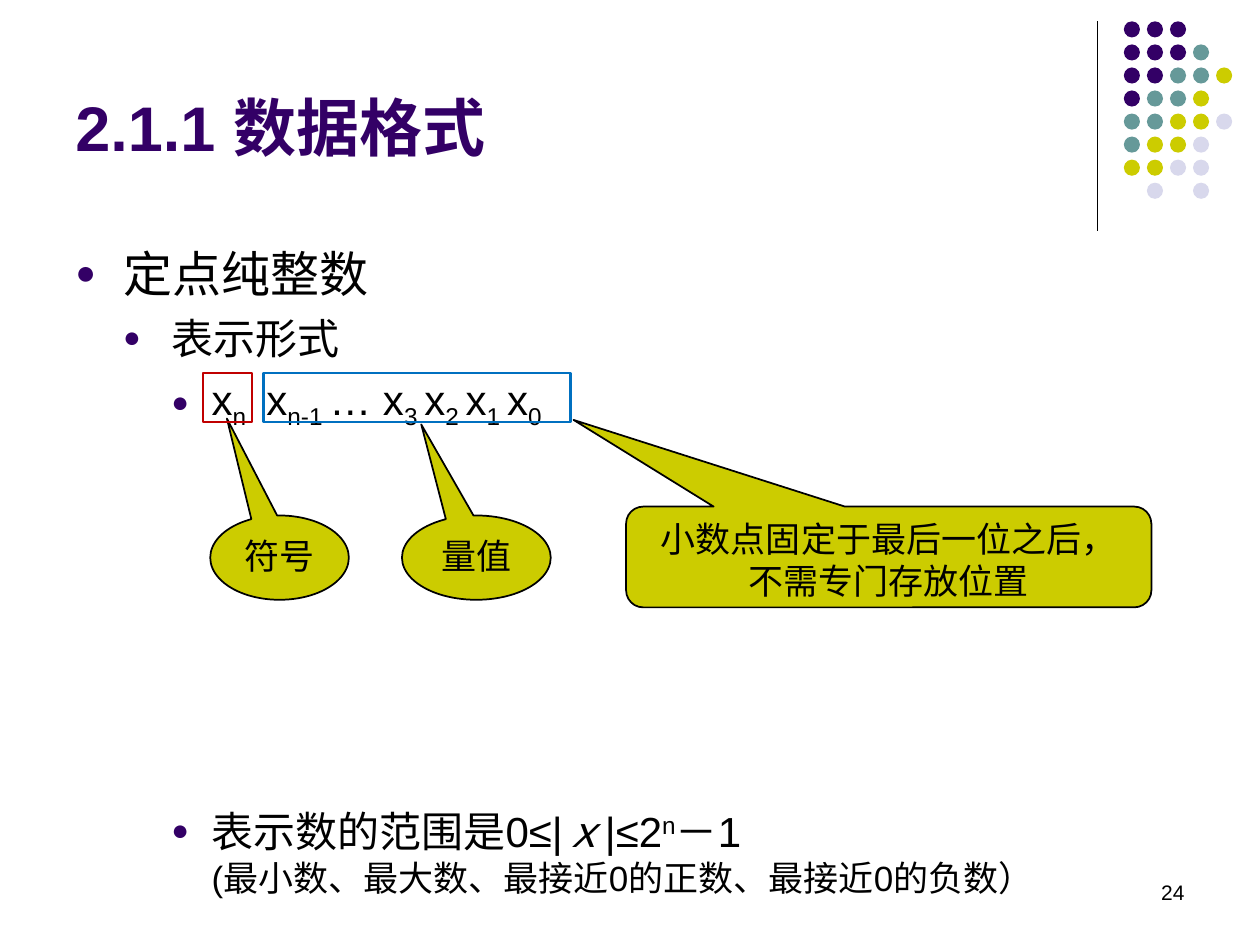
"""Build the slide on the fixed-point pure integer data format."""
from dataclasses import dataclass, field
from typing import Any

import lxml.etree
import pptx
import pptx.dml.color
import pptx.enum.shapes
import pptx.enum.text
import pptx.oxml.ns
import pptx.util

Pt = pptx.util.Pt
Shapes = pptx.enum.shapes.MSO_SHAPE
Align = pptx.enum.text.PP_ALIGN
Anchor = pptx.enum.text.MSO_ANCHOR
qn = pptx.oxml.ns.qn

PURPLE, TEAL, OLIVE, LILAC, BLACK = "330066", "669999", "CCCC00", "D8D8EC", "000000"
DOT_COLORS = {"P": PURPLE, "T": TEAL, "O": OLIVE, "L": LILAC}
DOT_ROWS = ("PPP", "PPPT", "PPTTO", "PTTO", "TTOOL", "TOOL", "OOLL", " L L")
DOT_LEFT, DOT_TOP, DOT_PITCH, DOT_SIZE = 642.2, 12.2, 13.17, 9.2


@dataclass
class Box:
    left: float
    top: float
    width: float
    height: float

    def lengths(self) -> list[int]:
        return [Pt(value) for value in (self.left, self.top, self.width, self.height)]


@dataclass
class Run:
    text: str
    baseline: int = 0
    italic: bool = False
    spacing: int = 0


@dataclass
class Line:
    runs: list[Run]
    size: float
    font: dict[str, Any] = field(default_factory=dict)
    layout: dict[str, Any] = field(default_factory=dict)
    margin: float = 0
    hanging: float = 0


@dataclass
class Callout:
    kind: Any
    box: Box
    adjustments: tuple[float, ...]
    text: str


@dataclass
class Frame:
    box: Box
    color: str


def rgb(color: str) -> pptx.dml.color.RGBColor:
    return pptx.dml.color.RGBColor.from_string(color)


def apply(target: Any, values: dict[str, Any]) -> None:
    for name, value in values.items():
        setattr(target, name, value)


def add_bullet(properties: Any) -> None:
    color = lxml.etree.SubElement(properties, qn("a:buClr"))
    lxml.etree.SubElement(color, qn("a:srgbClr"), val=PURPLE)
    lxml.etree.SubElement(properties, qn("a:buSzPct"), val="70000")
    lxml.etree.SubElement(properties, qn("a:buFont"), typeface="Arial")
    lxml.etree.SubElement(properties, qn("a:buChar"), char="●")


def write_lines(frame: Any, lines: list[Line], anchor: Any = Anchor.TOP) -> None:
    apply(frame, {"word_wrap": True, "vertical_anchor": anchor})
    for index, line in enumerate(lines):
        paragraph = frame.add_paragraph() if index else frame.paragraphs[0]
        properties = paragraph._p.get_or_add_pPr()
        properties.set("marL", str(Pt(line.margin)))
        properties.set("indent", str(Pt(-line.hanging)))
        if line.hanging:
            add_bullet(properties)
        apply(paragraph, line.layout)
        for part in line.runs:
            run = paragraph.add_run()
            run.text = part.text
            values = {"name": "Arial", "size": Pt(line.size), "italic": part.italic}
            apply(run.font, values | line.font)
            run.font.color.rgb = rgb(line.font_color if hasattr(line, "font_color") else BLACK)
            for name, value in (("baseline", part.baseline * 1000), ("spc", part.spacing)):
                if value:
                    run._r.get_or_add_rPr().set(name, str(value))


def add_text(slide: Any, box: Box, lines: list[Line], anchor: Any = Anchor.TOP) -> Any:
    shape = slide.shapes.add_textbox(*box.lengths())
    write_lines(shape.text_frame, lines, anchor)
    return shape


def add_shape(slide: Any, kind: Any, box: Box, fill: str = "", line: str = "", weight: float = 1) -> Any:
    shape = slide.shapes.add_shape(kind, *box.lengths())
    shape.shadow.inherit = False
    if fill:
        shape.fill.solid()
        shape.fill.fore_color.rgb = rgb(fill)
    else:
        shape.fill.background()
    if line:
        shape.line.color.rgb = rgb(line)
        shape.line.width = Pt(weight)
    else:
        shape.line.fill.background()
    return shape


def add_callout(slide: Any, callout: Callout) -> None:
    shape = add_shape(slide, callout.kind, callout.box, OLIVE, BLACK)
    for index, value in enumerate(callout.adjustments):
        shape.adjustments[index] = value
    line = Line([Run(callout.text)], 20, {"name": "Times New Roman"}, {"alignment": Align.CENTER})
    write_lines(shape.text_frame, [line])


def add_corner(slide: Any) -> None:
    rule = slide.shapes.add_connector(
        pptx.enum.shapes.MSO_CONNECTOR.STRAIGHT, Pt(627.1), Pt(12.2), Pt(627.1), Pt(131.8))
    rule.line.color.rgb = rgb(BLACK)
    rule.line.width = Pt(0.75)
    lxml.etree.SubElement(rule._element.spPr, qn("a:effectLst"))
    for row, codes in enumerate(DOT_ROWS):
        for column, code in enumerate(codes):
            if code in DOT_COLORS:
                box = Box(DOT_LEFT + column * DOT_PITCH, DOT_TOP + row * DOT_PITCH, DOT_SIZE, DOT_SIZE)
                add_shape(slide, Shapes.OVAL, box, DOT_COLORS[code])


BODY = [
    Line([Run("定点纯整数")], 28, margin=27.4, hanging=27.4),
    Line([Run("表示形式")], 24, layout={"space_before": Pt(6)}, margin=54.7, hanging=27.4),
    Line([Run("x"), Run("n", -25), Run(" ", -25, spacing=780), Run("x"), Run("n-1 ", -25),
          Run("… x"), Run("3 ", -25), Run("x"), Run("2 ", -25), Run("x"), Run("1 ", -25),
          Run("x"), Run("0", -25)], 24, layout={"space_before": Pt(6)}, margin=77.8, hanging=23),
    Line([Run("表示数的范围是0≤|"), Run("ｘ", italic=True), Run("|"), Run("≤", italic=True),
          Run("2"), Run("n", 30), Run("－1")], 24,
         layout={"space_before": Pt(214)}, margin=77.8, hanging=23),
    Line([Run("(最小数、最大数、最接近0的正数、最接近0的负数）")], 20,
         layout={"space_before": Pt(5), "line_spacing": 0.8}, margin=77.8),
]
CALLOUTS = [
    Callout(Shapes.OVAL_CALLOUT, Box(120.2, 294.6, 79.2, 48.2), (-0.38, -1.65), "符号"),
    Callout(Shapes.OVAL_CALLOUT, Box(229.7, 294.6, 85, 48.2), (-0.37, -1.58), "量值"),
    Callout(Shapes.ROUNDED_RECTANGULAR_CALLOUT, Box(357.8, 289.5, 300.2, 57.6),
            (-0.6, -1.36, 0.17), "小数点固定于最后一位之后，不需专门存放位置"),
]
FRAMES = [Frame(Box(115.9, 213.1, 28.1, 28.1), "C00000"), Frame(Box(150.5, 213.1, 175.7, 28.1), "0070C0")]


def main() -> None:
    presentation = pptx.Presentation()
    apply(presentation, {"slide_width": Pt(720), "slide_height": Pt(540)})
    slide = presentation.slides.add_slide(presentation.slide_layouts[6])
    add_corner(slide)
    number = Line([Run("24")], 12, layout={"alignment": Align.RIGHT})
    add_text(slide, Box(516.2, 491.8, 167.8, 36), [number], Anchor.MIDDLE)
    heading = Line([Run("2.1.1 数据格式")], 36, {"bold": True})
    title = add_text(slide, Box(36, 20.9, 589, 102.2), [heading], Anchor.MIDDLE)
    title.text_frame.paragraphs[0].runs[0].font.color.rgb = rgb(PURPLE)
    add_text(slide, Box(36, 135.4, 648, 347), BODY)
    for callout in CALLOUTS:
        add_callout(slide, callout)
    for frame in FRAMES:
        add_shape(slide, Shapes.RECTANGLE, frame.box, line=frame.color, weight=1.5)


    presentation.save("out.pptx")


if __name__ == "__main__":
    main()
